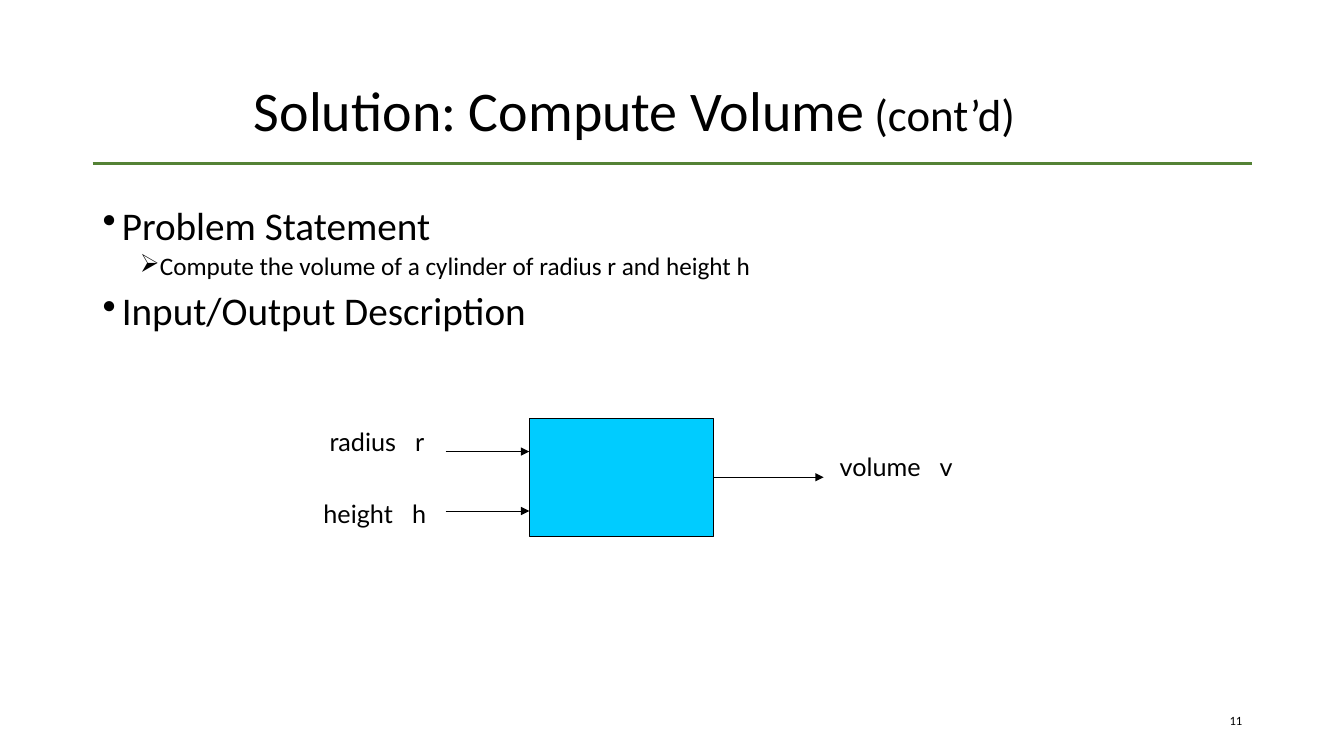
from lxml import etree
from pptx import Presentation
from pptx.dml.color import RGBColor
from pptx.enum.shapes import MSO_CONNECTOR, MSO_SHAPE
from pptx.enum.text import MSO_ANCHOR, PP_ALIGN
from pptx.oxml.ns import qn
from pptx.util import Inches, Pt

STRAIGHT = MSO_CONNECTOR.STRAIGHT
RECTANGLE = MSO_SHAPE.RECTANGLE
TOP, MIDDLE = MSO_ANCHOR.TOP, MSO_ANCHOR.MIDDLE
LEFT, RIGHT, JUSTIFY = PP_ALIGN.LEFT, PP_ALIGN.RIGHT, PP_ALIGN.JUSTIFY
COLORS = {"text": "000000", "rule": "548235", "process": "00CCFF"}
BODY_FONT, LABEL_FONT = "Calibri", "Lato"

# Bullet, left margin (in), text size (pt), space before (pt)
LEVELS = [("•", 0.19, 28, 7.5), ("➢", 0.56, 18, 3.8)]
HANGING = 0.19


def color(name):
    return RGBColor.from_string(COLORS[name])


def add_text_box(page, left, top, width, height, anchor=TOP):
    frame = page.shapes.add_textbox(
        Inches(left), Inches(top), Inches(width), Inches(height)).text_frame
    frame.word_wrap = True
    frame.vertical_anchor = anchor
    return frame


def style(para, size, font=BODY_FONT, align=LEFT):
    para.alignment = align
    para.font.name = font
    para.font.size = Pt(size)
    para.font.color.rgb = color("text")


def set_indent(para, margin, first_line=0.0):
    properties = para._p.get_or_add_pPr()
    properties.set("marL", str(Inches(margin)))
    properties.set("indent", str(Inches(first_line)))
    return properties


def add_line(page, start, end, color_name, width, arrow=False):
    line = page.shapes.add_connector(
        STRAIGHT, *[Inches(length) for length in (*start, *end)])
    line.line.color.rgb = color(color_name)
    line.line.width = Pt(width)
    properties = line._element.spPr
    if arrow:
        etree.SubElement(properties.find(qn("a:ln")), qn("a:tailEnd"), type="triangle")
    etree.SubElement(properties, qn("a:effectLst"))


def add_title(page, left, top, width, height):
    para = add_text_box(page, left, top, width, height, MIDDLE).paragraphs[0]
    style(para, 40)
    para.line_spacing = 0.9
    set_indent(para, 1.5)
    for text, size in (("Solution: Compute Volume", 40), (" (cont’d)", 32)):
        span = para.add_run()
        span.text = text
        span.font.size = Pt(size)
    # Rule under the title
    rule_y = top + 1.22
    add_line(page, (left, rule_y), (left + width, rule_y), "rule", 2)


def add_outline(page, left, top, width, height, items):
    frame = add_text_box(page, left, top, width, height)
    for index, (level, text) in enumerate(items):
        para = frame.add_paragraph() if index else frame.paragraphs[0]
        bullet, margin, size, space = LEVELS[level]
        para.text = text
        para.level = level
        para.line_spacing = 0.9
        para.space_before = Pt(space)
        properties = set_indent(para, margin, -HANGING)
        etree.SubElement(properties, qn("a:buChar"), char=bullet)
        style(para, size, align=JUSTIFY)


def add_label(page, left, top, name, symbol, symbol_offset):
    """Write a quantity and its symbol, the symbol set at a tab stop."""
    frame = add_text_box(page, left, top, symbol_offset + 0.38, 0.4)
    para = frame.paragraphs[0]
    span = para.add_run()
    span.text = f"{name}\t{symbol}"
    stops = etree.SubElement(para._p.get_or_add_pPr(), qn("a:tabLst"))
    etree.SubElement(stops, qn("a:tab"), pos=str(Inches(symbol_offset)), algn="l")
    style(para, 18, LABEL_FONT)


def add_input_output_diagram(page, left, top, width, height):
    # Process box
    box = page.shapes.add_shape(
        RECTANGLE, Inches(left), Inches(top), Inches(width), Inches(height))
    box.shadow.inherit = False
    box.fill.solid()
    box.fill.fore_color.rgb = color("process")
    box.line.color.rgb = color("text")
    box.line.width = Pt(0.75)

    # Inputs
    for arrow_y, label_x, label_y, name, symbol, offset in (
            (0.33, -2.08, 0.03, "radius", "r", 0.85),
            (0.92, -2.14, 0.74, "height", "h", 0.88)):
        y = top + arrow_y
        add_line(page, (left - 0.83, y), (left, y), "text", 0.75, arrow=True)
        add_label(page, left + label_x, top + label_y, name, symbol, offset)

    # Output
    right, middle = left + width, top + height / 2
    add_line(page, (right, middle), (right + 1.09, middle), "text", 0.75, arrow=True)
    add_label(page, right + 1.15, top + 0.28, "volume", "v", 0.99)


def add_page_number(page, left, top, width, height, number):
    para = add_text_box(page, left, top, width, height, MIDDLE).paragraphs[0]
    para.text = str(number)
    style(para, 9, align=RIGHT)


def main():
    deck = Presentation()
    deck.slide_width, deck.slide_height = Inches(13.33), Inches(7.5)
    page = deck.slides.add_slide(deck.slide_layouts[6])
    add_title(page, 0.92, 0.4, 11.5, 1.45)
    add_outline(page, 0.92, 2, 11.5, 4.76, [
        (0, "Problem Statement"),
        (1, "Compute the volume of a cylinder of radius r and height h"),
        (0, "Input/Output Description"),
    ])
    add_input_output_diagram(page, 5.25, 4.15, 1.83, 1.17)
    add_page_number(page, 9.42, 6.95, 3, 0.4, 11)
    deck.save("out.pptx")


if __name__ == "__main__":
    main()
